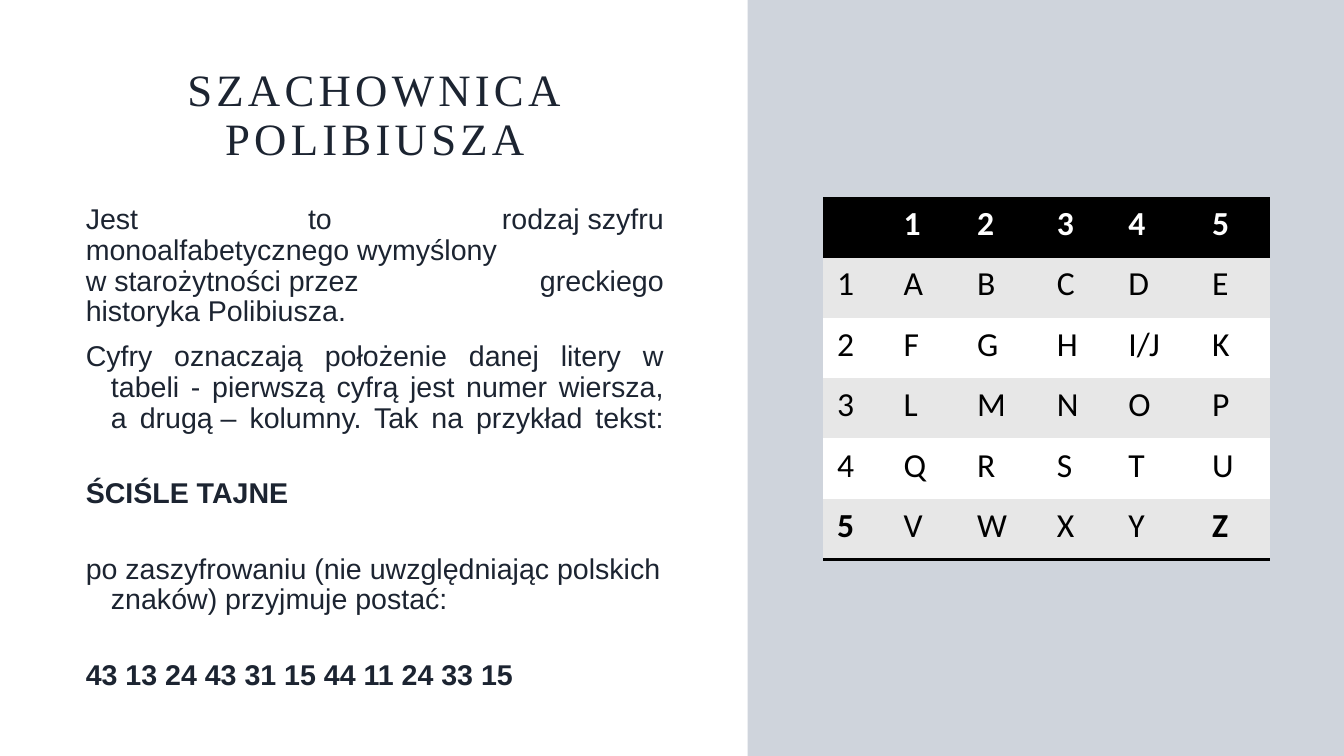
from pptx import Presentation
from pptx.dml.color import RGBColor
from pptx.enum.shapes import MSO_SHAPE
from pptx.enum.text import MSO_ANCHOR, PP_ALIGN
from pptx.oxml import parse_xml
from pptx.oxml.ns import nsdecls, qn
from pptx.util import Pt

INK = "1C2431"
BLACK = "000000"
WHITE = "FFFFFF"
BAND = "E7E7E7"
NO_TABLE_STYLE = "{2D5ABB26-0587-4C30-8999-92F81FD0307C}"
NO_BREAK_SPACE = chr(160)

SQUARE = [
    ["", "1", "2", "3", "4", "5"],
    ["1", "A", "B", "C", "D", "E"],
    ["2", "F", "G", "H", "I/J", "K"],
    ["3", "L", "M", "N", "O", "P"],
    ["4", "Q", "R", "S", "T", "U"],
    ["5", "V", "W", "X", "Y", "Z"],
]
BOLD_CORNERS = {(5, 0), (5, 5)}
COLUMN_WIDTHS = [47.5, 52.6, 56.9, 51.1, 59.8, 51.1]
ROW_HEIGHT = 43.2


def color(value):
    return RGBColor.from_string(value)


def add_run(paragraph, text, font_name, size, ink, bold=False):
    run = paragraph.add_run()
    run.text = text
    run.font.name = font_name
    run.font.size = Pt(size)
    run.font.bold = bold
    run.font.color.rgb = color(ink)
    return run


def add_text_frame(slide, left, top, width, height, anchor):
    box = slide.shapes.add_textbox(Pt(left), Pt(top), Pt(width), Pt(height))
    frame = box.text_frame
    frame.word_wrap = True
    frame.vertical_anchor = anchor
    return frame


def add_title(slide):
    frame = add_text_frame(slide, 54.7, 42.8, 426.2, 78.5, MSO_ANCHOR.BOTTOM)
    paragraph = frame.paragraphs[0]
    paragraph.alignment = PP_ALIGN.CENTER
    paragraph.line_spacing = 0.9
    run = add_run(paragraph, "SZACHOWNICA POLIBIUSZA", "Times New Roman", 32, INK)
    run.font._element.set("spc", "300")


def add_body_paragraph(paragraph, text, space_before=0, hanging=True,
                       justified=False, bold=False):
    """Fill a body paragraph; a tilde in the text stands for a no-break space."""
    paragraph.alignment = PP_ALIGN.JUSTIFY if justified else PP_ALIGN.LEFT
    paragraph.line_spacing = 0.9
    paragraph.space_before = Pt(space_before)
    if hanging:
        properties = paragraph._p.get_or_add_pPr()
        properties.set("marL", str(Pt(18)))
        properties.set("indent", str(Pt(-18)))
    add_run(paragraph, text.replace("~", NO_BREAK_SPACE), "Arial", 20.4, INK, bold)


def add_body(slide):
    frame = add_text_frame(slide, 54.2, 142.6, 427, 354.2, MSO_ANCHOR.TOP)
    add_body_paragraph(
        frame.paragraphs[0],
        "Jest to rodzaj~szyfru monoalfabetycznego~wymyślony "
        "w~starożytności~przez greckiego historyka~Polibiusza.",
        hanging=False, justified=True)
    explanation = frame.add_paragraph()
    add_body_paragraph(
        explanation,
        "Cyfry oznaczają położenie danej litery w tabeli - pierwszą cyfrą jest "
        "numer wiersza, a drugą~– kolumny. Tak na przykład tekst:",
        space_before=10, justified=True)
    # The break stretches the last justified line to the full width.
    explanation.add_line_break()
    for text, space_before, bold in [
        ("ŚCIŚLE TAJNE", 12, True),
        ("po zaszyfrowaniu (nie uwzględniając polskich znaków) "
         "przyjmuje postać:", 32, False),
        ("43 13 24 43 31 15 44 11 24 33 15", 32, True),
    ]:
        add_body_paragraph(frame.add_paragraph(), text, space_before, bold=bold)


def add_side_panel(slide):
    panel = slide.shapes.add_shape(MSO_SHAPE.RECTANGLE, Pt(534), 0, Pt(426), Pt(540))
    panel.shadow.inherit = False
    panel.fill.solid()
    panel.fill.fore_color.rgb = color("435776")
    panel.line.fill.background()
    fill_color = panel._element.spPr.find(qn("a:solidFill"))[0]
    fill_color.append(parse_xml(f'<a:alpha {nsdecls("a")} val="25000"/>'))


def add_bottom_border(cell):
    border = parse_xml(
        f'<a:lnB {nsdecls("a")} w="{Pt(2)}"><a:solidFill>'
        f'<a:srgbClr val="{BLACK}"/></a:solidFill></a:lnB>')
    cell._tc.get_or_add_tcPr().insert(0, border)


def fill_cell(cell, text, fill, ink, bold):
    cell.margin_left = cell.margin_right = Pt(10)
    cell.margin_top = cell.margin_bottom = Pt(5)
    cell.fill.solid()
    cell.fill.fore_color.rgb = color(fill)
    if text:
        add_run(cell.text_frame.paragraphs[0], text, "Calibri", 24, ink, bold)


def add_polybius_table(slide):
    rows, columns = len(SQUARE), len(COLUMN_WIDTHS)
    table = slide.shapes.add_table(
        rows, columns, Pt(588), Pt(140.4),
        Pt(sum(COLUMN_WIDTHS)), Pt(ROW_HEIGHT * rows)).table
    table.first_row = table.horz_banding = False
    table._tbl.tblPr.find(qn("a:tableStyleId")).text = NO_TABLE_STYLE
    for column, width in zip(table.columns, COLUMN_WIDTHS):
        column.width = Pt(width)
    for row_index, letters in enumerate(SQUARE):
        table.rows[row_index].height = Pt(ROW_HEIGHT)
        header = row_index == 0
        fill = BLACK if header else BAND if row_index % 2 else WHITE
        for column_index, letter in enumerate(letters):
            cell = table.cell(row_index, column_index)
            bold = header or (row_index, column_index) in BOLD_CORNERS
            fill_cell(cell, letter, fill, WHITE if header else BLACK, bold)
            if row_index in (0, rows - 1):
                add_bottom_border(cell)


def main():
    presentation = Presentation()
    presentation.slide_width = Pt(960)
    presentation.slide_height = Pt(540)
    slide = presentation.slides.add_slide(presentation.slide_layouts[6])
    slide.background.fill.solid()
    slide.background.fill.fore_color.rgb = color(WHITE)
    add_title(slide)
    add_body(slide)
    add_side_panel(slide)
    add_polybius_table(slide)
    presentation.save("out.pptx")


if __name__ == "__main__":
    main()
